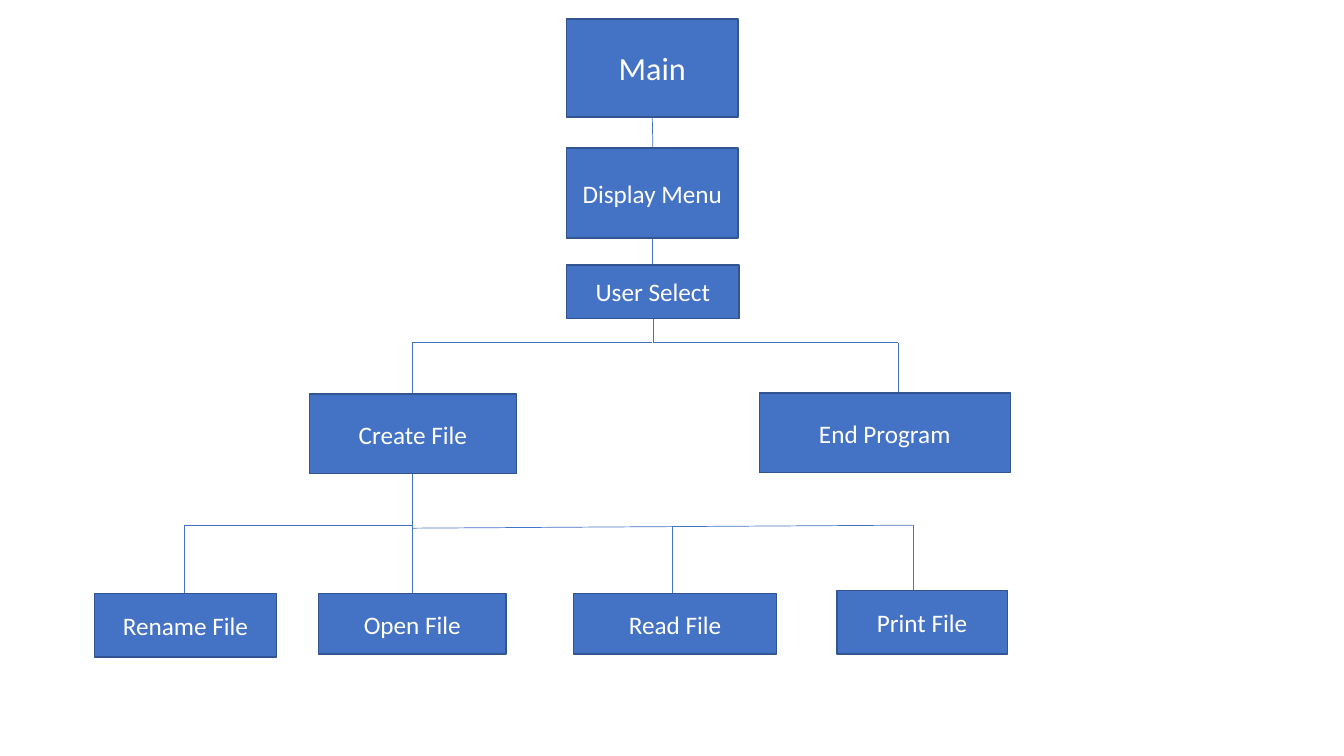
from dataclasses import dataclass

from lxml.etree import SubElement
from pptx import Presentation
from pptx.dml.color import RGBColor
from pptx.enum.shapes import MSO_CONNECTOR as Connector, MSO_SHAPE as Shape
from pptx.enum.text import MSO_ANCHOR as Anchor, PP_ALIGN as Align
from pptx.oxml.ns import qn
from pptx.util import Inches, Pt


@dataclass(frozen=True)
class Theme:
    fill: RGBColor = RGBColor(0x44, 0x72, 0xC4)
    border: RGBColor = RGBColor(0x32, 0x54, 0x91)
    text: RGBColor = RGBColor(0xFF, 0xFF, 0xFF)
    font: str = "Calibri"
    root_size: int = 23
    box_size: int = 18
    border_width: float = 1
    line_width: float = 0.5


THEME = Theme()

ROOT = ("Main", 5.62, 0.19, 1.7, 0.97)
STEPS = [
    ("Display Menu", 5.62, 1.47, 1.7, 0.89),
    ("User Select", 5.62, 2.63, 1.71, 0.53),
    ("Create File", 3.07, 3.91, 2.05, 0.79),
    ("End Program", 7.53, 3.9, 2.49, 0.79),
    ("Rename File", 0.94, 5.89, 1.8, 0.63),
    ("Open File", 3.16, 5.89, 1.86, 0.6),
    ("Read File", 5.69, 5.89, 2.01, 0.6),
    ("Print File", 8.3, 5.86, 1.69, 0.63),
]

TRUNK_X = 6.48
CREATE_X, END_X = 4.09, 8.91
RENAME_X, READ_X, PRINT_X = 1.83, 6.67, 9.06
CHOICE_Y, FILE_Y = 3.4, 5.21

TRUNK_LINES = [
    (6.47, 1.17, TRUNK_X, 1.73),
    (6.47, 2.36, 6.47, 3.14),
    (TRUNK_X, 3.16, TRUNK_X, CHOICE_Y),
    (CREATE_X, 4.7, CREATE_X, 5.27),
]
BRANCH_LINES = [
    (6.47, CHOICE_Y, CREATE_X, CHOICE_Y),
    (TRUNK_X, CHOICE_Y, END_X, CHOICE_Y),
    (CREATE_X, FILE_Y, RENAME_X, FILE_Y),
    (CREATE_X, 5.24, PRINT_X, FILE_Y),
]
DROPS = [
    (CREATE_X, CHOICE_Y, 4.31),
    (END_X, CHOICE_Y, 4.31),
    (RENAME_X, FILE_Y, 5.89),
    (CREATE_X, FILE_Y, 5.89),
    (READ_X, 5.23, 5.94),
    (PRINT_X, FILE_Y, 5.94),
]


def add_line(slide, *ends):
    line = slide.shapes.add_connector(Connector.STRAIGHT, *map(Inches, ends))
    line.line.color.rgb = THEME.fill
    line.line.width = Pt(THEME.line_width)
    SubElement(line._element.spPr, qn("a:effectLst"))


def add_box(slide, label, *bounds, size=THEME.box_size):
    shape = slide.shapes.add_shape(Shape.RECTANGLE, *map(Inches, bounds))
    shape.shadow.inherit = False
    shape.fill.solid()
    shape.fill.fore_color.rgb = THEME.fill
    shape.line.color.rgb = THEME.border
    shape.line.width = Pt(THEME.border_width)
    text_frame = shape.text_frame
    text_frame.text = label
    text_frame.word_wrap = True
    text_frame.vertical_anchor = Anchor.MIDDLE
    paragraph = text_frame.paragraphs[0]
    paragraph.alignment = Align.CENTER
    font = paragraph.runs[0].font
    font.name = THEME.font
    font.size = Pt(size)
    font.color.rgb = THEME.text


def main():
    presentation = Presentation()
    presentation.slide_width = Inches(13.33)
    presentation.slide_height = Inches(7.5)
    slide = presentation.slides.add_slide(presentation.slide_layouts[6])
    for ends in TRUNK_LINES + BRANCH_LINES:
        add_line(slide, *ends)
    for x, top, bottom in DROPS:
        add_line(slide, x, top, x, bottom)
    add_box(slide, *ROOT, size=THEME.root_size)
    for step in STEPS:
        add_box(slide, *step)
    presentation.save("out.pptx")


main()
